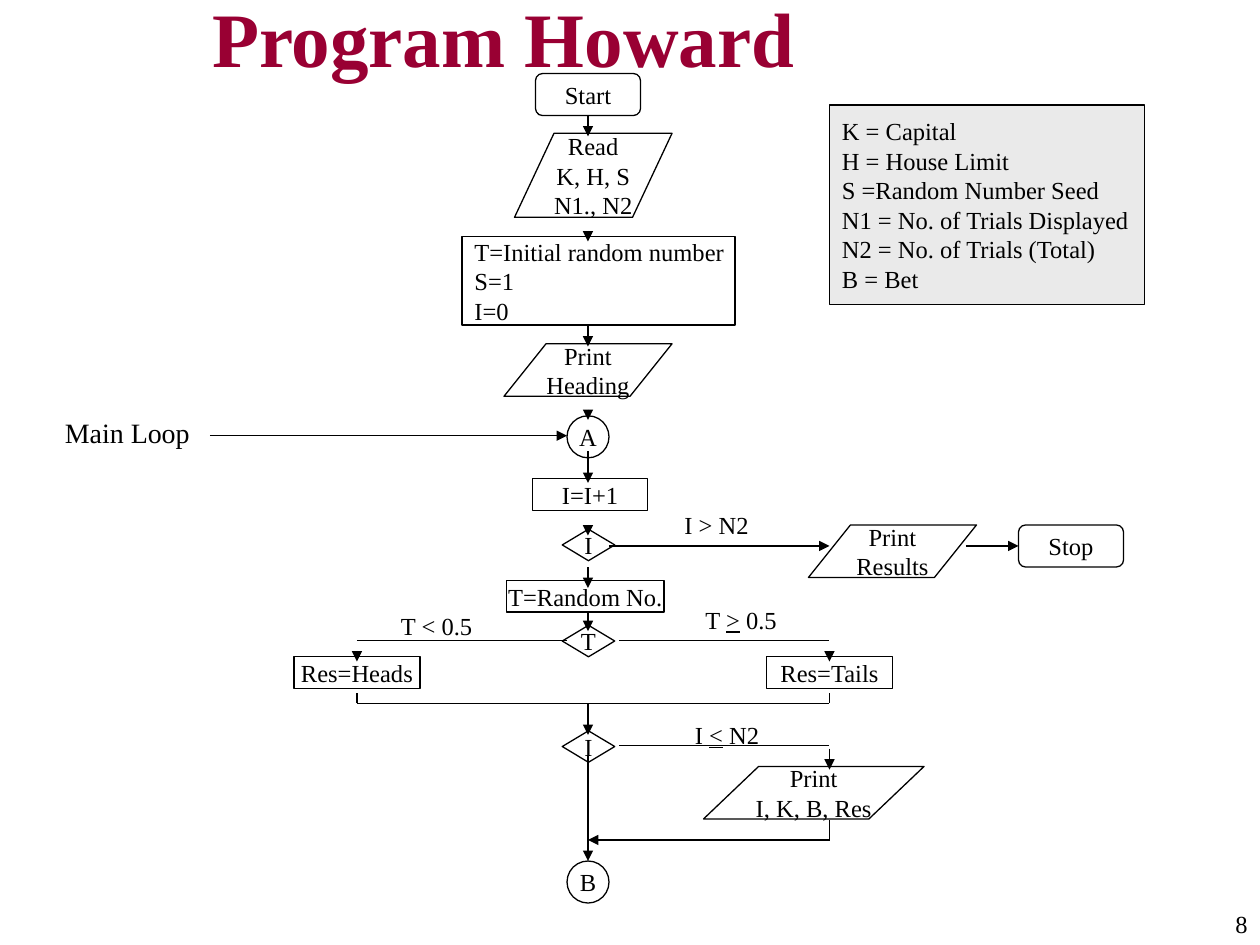
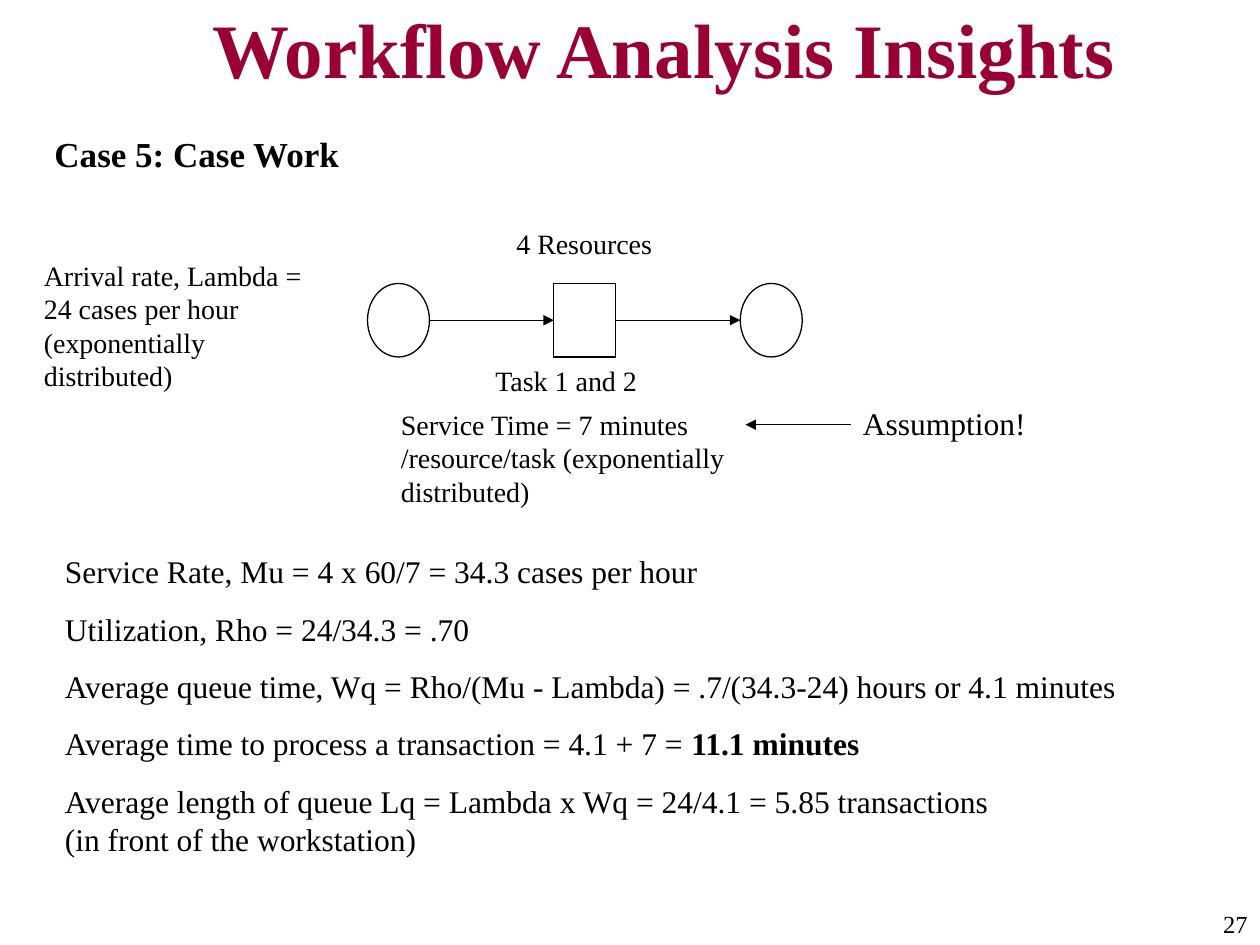
from lxml import etree
from pptx import Presentation
from pptx.dml.color import RGBColor
from pptx.enum.shapes import MSO_CONNECTOR, MSO_SHAPE
from pptx.enum.text import MSO_ANCHOR, MSO_AUTO_SIZE, PP_ALIGN
from pptx.oxml.ns import qn
from pptx.util import Inches, Pt

LEFT, CENTER, RIGHT = PP_ALIGN.LEFT, PP_ALIGN.CENTER, PP_ALIGN.RIGHT
MIDDLE = MSO_ANCHOR.MIDDLE
FIT_SHAPE, NO_FIT = MSO_AUTO_SIZE.SHAPE_TO_FIT_TEXT, MSO_AUTO_SIZE.NONE
STRAIGHT = MSO_CONNECTOR.STRAIGHT
RECT, ELLIPSE = MSO_SHAPE.RECTANGLE, MSO_SHAPE.OVAL
TERMINAL, DECISION = MSO_SHAPE.ROUNDED_RECTANGLE, MSO_SHAPE.DIAMOND
IN_OUT = MSO_SHAPE.PARALLELOGRAM

COLORS = {"title": "990033", "ink": "000000", "legend": "EAEAEA"}
FONT = "Times New Roman"
WIDTH, HEIGHT = Inches(10), Inches(7.5)
COLUMNS = 120  # square cells, so the slide is 120 columns by 90 rows
CELL = WIDTH / COLUMNS
TITLE_ONLY = 5

SPINE, HEADS, TAILS = 56, 34, 79  # columns of the three vertical flow lines


def color(key):
    return RGBColor.from_string(COLORS[key])


def cells(*lengths):
    return [round(length * CELL) for length in lengths]


def write(frame, paragraphs, size, align=LEFT, ink="ink", bold=False, gap=0):
    """Fill a frame; a paragraph is a string or a list of (text, style) runs."""
    for index, content in enumerate(paragraphs):
        paragraph = frame.add_paragraph() if index else frame.paragraphs[0]
        paragraph.alignment = align
        if index and gap:
            paragraph.space_before = Pt(gap)
        runs = [(content, "")] if isinstance(content, str) else content
        for text, style in runs:
            for number, line in enumerate(text.split("\n")):
                if number:
                    paragraph.add_line_break()
                run = paragraph.add_run()
                run.text = line
                font = run.font
                font.name, font.size = FONT, Pt(size)
                font.color.rgb = color(ink)
                font.bold = bold or style == "bold"
                font.underline = style == "underline"


def label(slide, box, paragraphs, size=16, align=LEFT, **style):
    frame = slide.shapes.add_textbox(*cells(*box)).text_frame
    frame.word_wrap = True
    frame.auto_size = FIT_SHAPE
    write(frame, paragraphs, size, align, **style)


def node(slide, kind, box, paragraphs=(), align=CENTER, fill=None, slant=None,
         wrap=False):
    shape = slide.shapes.add_shape(kind, *cells(*box))
    shape.shadow.inherit = False
    if fill:
        shape.fill.solid()
        shape.fill.fore_color.rgb = color(fill)
    else:
        shape.fill.background()
    shape.line.color.rgb = color("ink")
    shape.line.width = Pt(0.75)
    if slant:
        shape.adjustments[0] = slant
    frame = shape.text_frame
    frame.word_wrap = wrap
    frame.vertical_anchor = MIDDLE
    write(frame, paragraphs, 14, align)


def line(slide, x1, y1, x2, y2, arrow=False):
    connector = slide.shapes.add_connector(STRAIGHT, *cells(x1, y1, x2, y2))
    connector.line.color.rgb = color("ink")
    connector.line.width = Pt(0.75)
    if arrow:
        outline = connector.line._get_or_add_ln()
        etree.SubElement(outline, qn("a:tailEnd"), type="triangle")
    etree.SubElement(connector._element.spPr, qn("a:effectLst"))


def titled_slide(deck, title, top, number):
    slide = deck.slides.add_slide(deck.slide_layouts[TITLE_ONLY])
    heading = slide.shapes.title
    heading.left, heading.top, heading.width, heading.height = cells(19, top, 101, 7)
    frame = heading.text_frame
    frame.auto_size = NO_FIT
    frame.vertical_anchor = MIDDLE
    write(frame, [title], 44, ink="title", bold=True)
    label(slide, (103, 86, 17, 4), [number], 14, RIGHT)
    return slide


def draw_flow_nodes(slide):
    for name, column, row in [("Start", 51, 7), ("Stop", 97, 50)]:
        node(slide, TERMINAL, (column, row, 10, 4), [name])

    node(slide, IN_OUT, (49, 12.7, 15, 8), ["Read", "K, H, S", "N1., N2"], slant=0.47)
    for text, column, row, width, slant in [
        ("Print\nHeading", 48, 32.75, 16, 0.8),
        ("Print\nResults", 77, 50, 16, 0.8),
        ("Print\nI, K, B, Res", 67, 73, 21, 1.05),
    ]:
        node(slide, IN_OUT, (column, row, width, 5), [text], slant=slant)

    node(slide, RECT, (44, 22.55, 26, 8.4),
         ["T=Initial random number", "S=1", "I=0"], LEFT)
    for step, column, row, width in [
        ("I=I+1", 50.7, 45.6, 11),
        ("T=Random No.", 48.25, 55.3, 15),
        ("Res=Heads", HEADS - 6, 62.55, 12),
        ("Res=Tails", TAILS - 6, 62.55, 12),
    ]:
        node(slide, RECT, (column, row, width, 3), [step])

    for variable, row in [("I", 50.4), ("T", 59.55), ("I", 69.6)]:
        node(slide, DECISION, (SPINE - 2.45, row, 5, 3), [variable])
    for letter, row in [("A", 39.6), ("B", 82)]:
        node(slide, ELLIPSE, (SPINE - 2, row, 4, 4), [letter])


def draw_flow_lines(slide):
    for start, end in [(11, 13), (22, 23), (31, 33), (39, 40), (43, 46), (50, 51),
                       (54, 56), (58.2, 60.1), (67, 70), (72, 82)]:
        line(slide, SPINE, start, SPINE, end, arrow=True)

    for branch in (HEADS, TAILS):
        line(slide, branch, 62, branch, 63, arrow=True)
        line(slide, branch, 66, branch, 67)
    line(slide, TAILS, 71.3, TAILS, 73.3, arrow=True)
    line(slide, TAILS, 78.1, TAILS, 80.1)

    for start, end, row in [(HEADS, 54, 61), (59, TAILS, 61),
                            (HEADS, TAILS, 67), (59, TAILS, 71)]:
        line(slide, start, row, end, row)
    for start, end, row in [(58, TAILS, 52), (92, 97, 52),
                            (TAILS, SPINE, 80), (20, 54, 41.5)]:
        line(slide, start, row, end, row, arrow=True)


def build_flowchart(deck):
    slide = titled_slide(deck, "Program Howard", 0, "8")
    draw_flow_nodes(slide)
    draw_flow_lines(slide)
    node(slide, RECT, (79, 10, 30, 19),
         ["K = Capital\nH = House Limit", "S =Random Number Seed",
          "N1 = No. of Trials Displayed\nN2 = No. of Trials (Total)", "B = Bet"],
         LEFT, fill="legend", wrap=True)
    label(slide, (5, 39, 16, 4.4), ["Main Loop"])
    for condition, column, row in [
        ("I > N2", 64, 48),
        ("T < 0.5", 37, 57.6),
        ([("T ", ""), (">", "underline"), (" 0.5", "")], 66, 57),
        ([("I ", ""), ("<", "underline"), (" N2", "")], 65, 68),
    ]:
        label(slide, (column, row, 16, 4), [condition], 14)


def build_case_work(deck):
    slide = titled_slide(deck, "Workflow Analysis Insights", 1, "27")
    label(slide, (4, 12, 56, 5.3), ["Case 5: Case Work"], 20, bold=True)

    first, step, width, top, height = 35, 17.75, 5.9, 27, 7
    for index, kind in enumerate([ELLIPSE, RECT, ELLIPSE]):
        column = first + index * step
        node(slide, kind, (column, top, width, height))
        if index:
            middle = top + height / 2
            line(slide, column - step + width, middle, column, middle, arrow=True)

    label(slide, (48, 21, 19, 4.4), ["4 Resources"])
    label(slide, (46, 34, 19, 4.4), ["Task 1 and 2"])
    label(slide, (3, 24, 29, 14),
          ["Arrival rate, Lambda = 24 cases per hour (exponentially distributed)"])
    label(slide, (37, 38.2, 40, 10.8),
          ["Service Time = 7 minutes /resource/task (exponentially distributed)"])
    label(slide, (81, 37.9, 28, 4.8), ["Assumption!"], 18)
    line(slide, 81, 40.45, 71, 40.45, arrow=True)

    label(slide, (5, 52, 109, 30.4), [
        "Service Rate, Mu = 4 x 60/7 = 34.3 cases per hour",
        "Utilization, Rho = 24/34.3 = .70",
        "Average queue time, Wq = Rho/(Mu - Lambda) = .7/(34.3-24) hours or 4.1 minutes",
        [("Average time to process a transaction = 4.1 + 7 = ", ""),
         ("11.1 minutes", "bold")],
        "Average length of queue Lq = Lambda x Wq = 24/4.1 = 5.85 transactions\n"
        "(in front of the workstation)",
    ], 18, gap=11.2)


def main():
    deck = Presentation()
    deck.slide_width, deck.slide_height = WIDTH, HEIGHT
    build_flowchart(deck)
    build_case_work(deck)
    deck.save("out.pptx")


if __name__ == "__main__":
    main()
